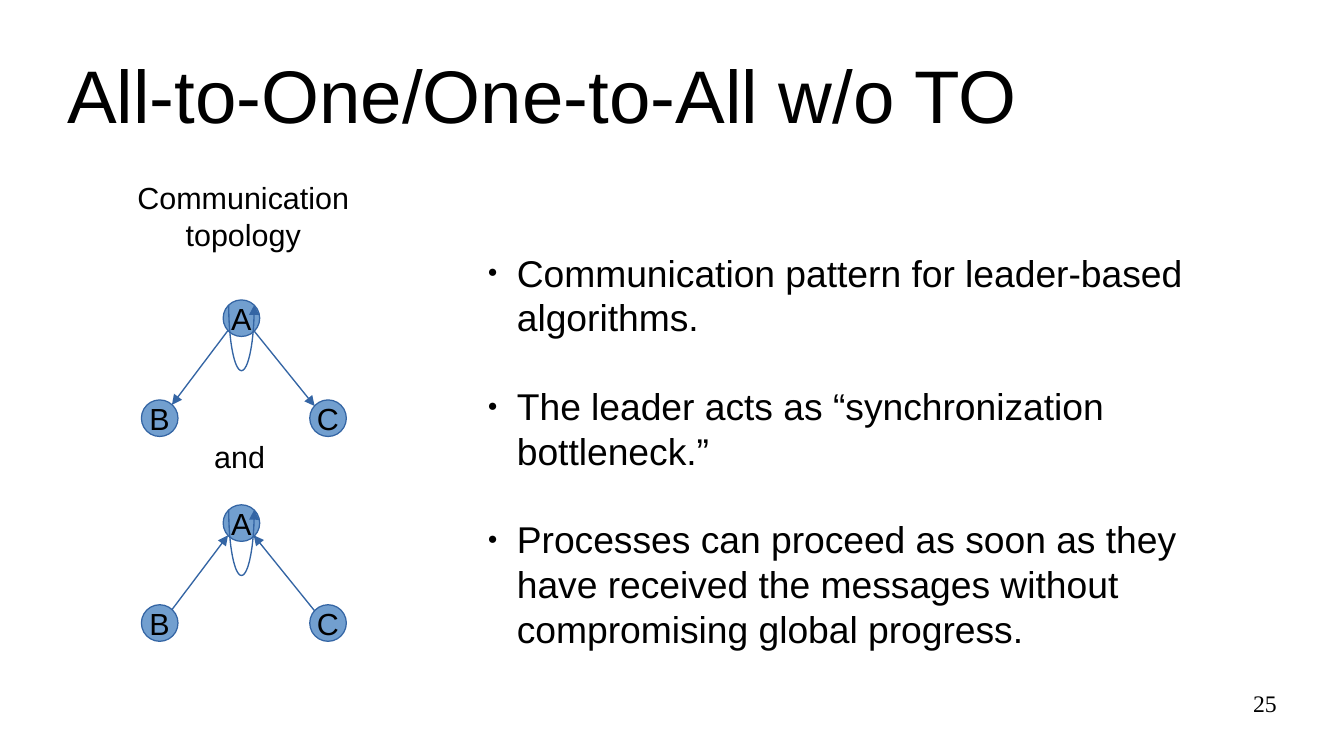
import math
import pptx
import pptx.util
import pptx.dml.color
import pptx.enum.shapes
import pptx.enum.text
import pptx.oxml
import pptx.oxml.ns

inch = pptx.util.Inches
point = pptx.util.Pt
align = pptx.enum.text.PP_ALIGN
anchor = pptx.enum.text.MSO_ANCHOR
ns = pptx.oxml.ns.nsdecls("a")


def paint(item, code):
    if hasattr(item, "solid"):
        item.solid()
        item = item.fore_color
    item.rgb = pptx.dml.color.RGBColor.from_string(code)


def write(shape, lines, size, form, face="Arial", pad=(0.1, 0.05)):
    frame = shape.text_frame
    base = {
        "auto_size": pptx.enum.text.MSO_AUTO_SIZE.NONE,
        "word_wrap": True,
        "vertical_anchor": anchor.TOP,
        "margin_left": inch(pad[0]),
        "margin_right": inch(pad[0]),
        "margin_top": inch(pad[1]),
        "margin_bottom": inch(pad[1]),
    }
    side = form.get("side", align.LEFT)
    for key, value in {**base, **form}.items():
        if key != "side":
            setattr(frame, key, value)
    frame.text = "\n".join(lines)
    for para in frame.paragraphs:
        para.alignment = side
        for run in para.runs:
            run.font.name = face
            run.font.size = point(size)
            paint(run.font.color, "000000")
    return frame


deck = pptx.Presentation()
deck.slide_width = inch(11.02)
deck.slide_height = inch(6.2)
slide = deck.slides.add_slide(deck.slide_layouts[5])
shapes = slide.shapes

title = shapes.title
place = {"left": 0.55, "top": 0.25, "width": 9.92, "height": 1.04}
for key, value in place.items():
    setattr(title, key, inch(value))
write(title, ["All-to-One/One-to-All w/o TO"], 44,
      {"vertical_anchor": anchor.MIDDLE}, pad=(0, 0))

node = 0.3
spots = {"A": (1.83, 0), "B": (1.16, 0.82), "C": (2.54, 0.82)}
left = ((1.87, 0.25), (1.41, 0.86))
right = ((2.08, 0.25), (2.58, 0.87))
graphs = [
    (2.46, [left, right]),
    (4.14, [left[::-1], right[::-1]]),
]
for top, edges in graphs:
    for name, (x, drop) in spots.items():
        disc = shapes.add_shape(pptx.enum.shapes.MSO_SHAPE.OVAL, inch(x),
                                inch(top + drop), inch(node), inch(node))
        disc.shadow.inherit = False
        paint(disc.fill, "729FCF")
        paint(disc.line.fill, "3465A4")
        disc.line.width = 0
        write(disc, [name], 18, {"word_wrap": False, "side": align.CENTER,
                                 "vertical_anchor": anchor.MIDDLE})

    steps = 32
    dots = []
    for step in range(steps + 1):
        turn = math.pi * step / steps
        dots.append((inch(1.98 - 0.105 * math.cos(turn)),
                     inch(top + 0.04 + 0.54 * math.sin(turn))))
    pen = shapes.build_freeform(*dots[0])
    pen.add_line_segments(dots[1:], close=False)
    loop = pen.convert_to_shape()
    loop.fill.background()
    loop.shadow.inherit = False

    links = [loop]
    for (x1, y1), (x2, y2) in edges:
        link = shapes.add_connector(
            pptx.enum.shapes.MSO_CONNECTOR.STRAIGHT,
            inch(x1), inch(top + y1), inch(x2), inch(top + y2))
        link._element.spPr.append(
            pptx.oxml.parse_xml(f"<a:effectLst {ns}/>"))
        links.append(link)
    for link in links:
        paint(link.line.fill, "3465A4")
        link.line.width = point(0.79)
        link.line._get_or_add_ln().append(
            pptx.oxml.parse_xml(f'<a:tailEnd {ns} type="triangle"/>'))

points = [
    "Communication pattern for leader-based algorithms.",
    "The leader acts as “synchronization bottleneck.”",
    "Processes can proceed as soon as they have received the messages "
    "without compromising global progress.",
]
tight = {"word_wrap": False, "side": align.CENTER}
texts = [
    ((1.03, 1.42, 1.93, 0.66), ["Communication", "topology"], 18, tight, {}),
    ((1.66, 3.54, 0.61, 0.38), ["and"], 18, tight, {}),
    ((7.9, 5.65, 2.57, 0.43), ["25"], 14, {"side": align.RIGHT},
     {"face": "Times New Roman", "pad": (0, 0)}),
    ((3.9, 2, 6, 3.17), points, 22, {}, {}),
]
for area, lines, size, form, more in texts:
    box = shapes.add_textbox(*[inch(part) for part in area])
    frame = write(box, lines, size, form, **more)

for rank, para in enumerate(frame.paragraphs):
    if rank:
        para.space_before = point(26)
    props = para._p.get_or_add_pPr()
    for key, value in {"marL": inch(0.24), "indent": inch(-0.24)}.items():
        props.set(key, str(value))
    for mark in (
        f'<a:buClr {ns}><a:srgbClr val="000000"/></a:buClr>',
        f'<a:buSzPct {ns} val="45000"/>',
        f'<a:buFont {ns} typeface="Arial"/>',
        f'<a:buChar {ns} char="●"/>',
    ):
        props.append(pptx.oxml.parse_xml(mark))

deck.save("out.pptx")
